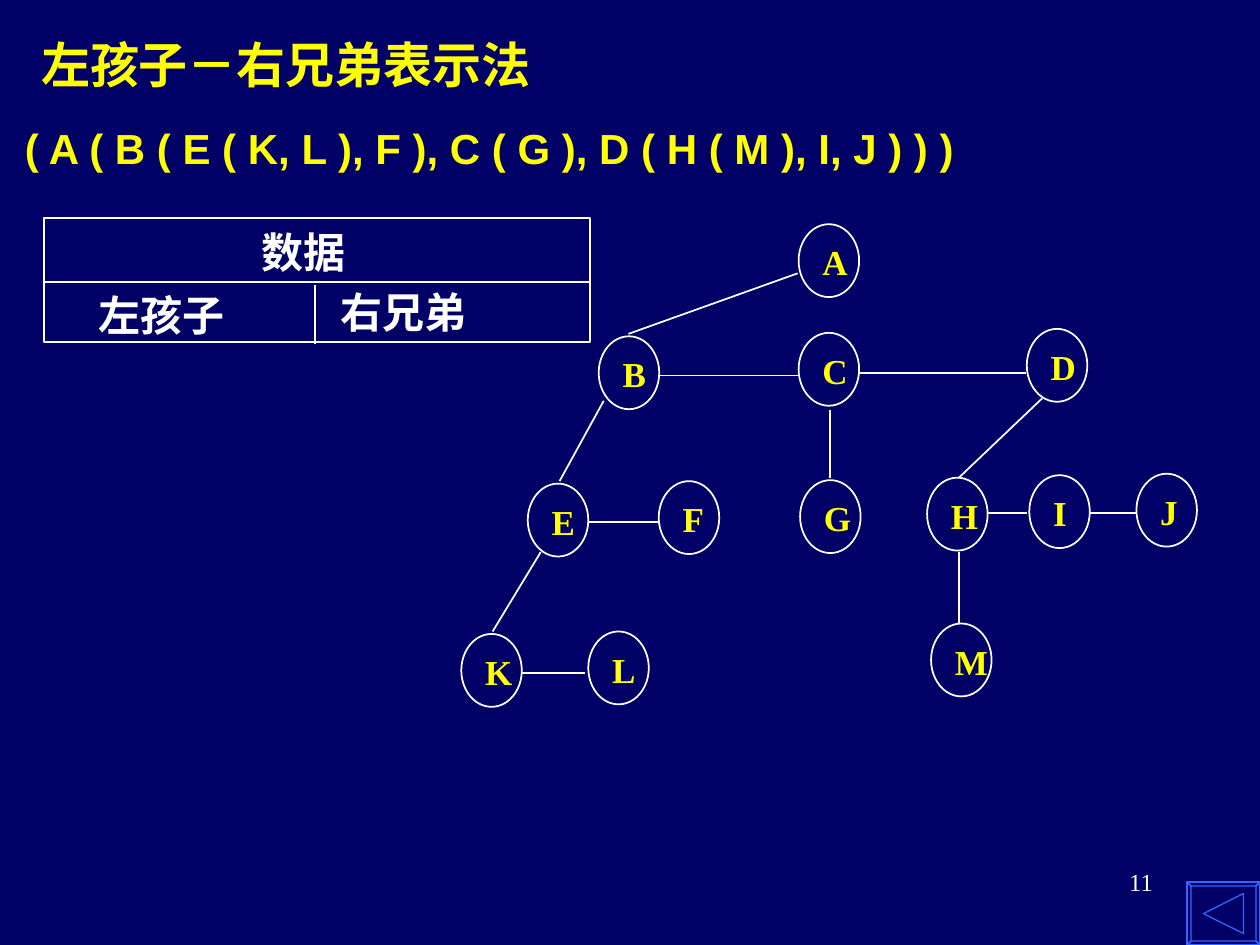
from lxml.etree import SubElement
from pptx import Presentation
from pptx.dml.color import RGBColor
from pptx.enum.shapes import MSO_CONNECTOR, MSO_SHAPE
from pptx.enum.text import MSO_ANCHOR as Anchor, PP_ALIGN as Align
from pptx.oxml.ns import qn
from pptx.util import Cm, Pt

NAVY = RGBColor(0x00, 0x00, 0x66)
YELLOW = RGBColor(0xFF, 0xFF, 0x00)
WHITE = RGBColor(0xFF, 0xFF, 0xFF)
BLUE = RGBColor(0x33, 0x66, 0xFF)

NODE_WIDTH, NODE_HEIGHT = 1.22, 1.47

# name: left, top, label width
NODES = {
    "A": (16.10, 4.52, 1.02),
    "B": (12.07, 6.78, 0.99),
    "C": (16.10, 6.71, 1.02),
    "D": (20.70, 6.63, 1.02),
    "E": (10.64, 9.75, 0.99),
    "F": (13.28, 9.70, 0.94),
    "G": (16.13, 9.68, 1.07),
    "H": (18.69, 9.63, 1.07),
    "I": (20.75, 9.58, 0.79),
    "J": (22.91, 9.55, 0.86),
    "K": (9.30, 12.78, 1.07),
    "L": (11.86, 12.73, 0.99),
    "M": (18.77, 12.57, 1.17),
}
CHILD_LINKS = [
    (16.08, 5.51, 12.67, 6.73),    # A-B
    (12.17, 8.08, 11.28, 9.70),    # B-E
    (10.90, 11.13, 9.93, 12.73),   # E-K
    (16.74, 8.26, 16.74, 9.63),    # C-G
    (21.01, 8.03, 19.33, 9.63),    # D-H
    (19.33, 11.13, 19.33, 12.55),  # H-M
]
SIBLING_LINKS = [
    (13.26, 7.57, 16.10, 7.57),    # B-C
    (17.32, 7.52, 20.68, 7.52),    # C-D
    (11.86, 10.52, 13.26, 10.52),  # E-F
    (10.52, 13.56, 11.79, 13.56),  # K-L
    (19.91, 10.34, 20.70, 10.34),  # H-I
    (21.95, 10.34, 22.91, 10.34),  # I-J
]


def add_text(shapes, text, place, size, color, font="Times New Roman",
             bold=True, align=Align.LEFT, wrap=False):
    box = shapes.add_textbox(*map(Cm, place))
    frame = box.text_frame
    frame.word_wrap = wrap
    para = frame.paragraphs[0]
    para.alignment = align
    span = para.add_run()
    span.text = text
    span.font.name = font
    span.font.size = Pt(size)
    span.font.bold = bold
    span.font.color.rgb = color
    return box


def add_line(shapes, ends):
    line = shapes.add_connector(MSO_CONNECTOR.STRAIGHT, *map(Cm, ends))
    line.line.color.rgb = WHITE
    line.line.width = Pt(1)
    SubElement(line._element.spPr, qn("a:effectLst"))


deck = Presentation()
deck.slide_width, deck.slide_height = Cm(25.4), Cm(19.05)
page = deck.slides.add_slide(deck.slide_layouts[6])
page.background.fill.solid()
page.background.fill.fore_color.rgb = NAVY

add_text(page.shapes, "11", (18.21, 17.35, 5.28, 1.27), 14, WHITE,
         bold=False, align=Align.RIGHT, wrap=True)
title = add_text(page.shapes, "左孩子－右兄弟表示法", (0.58, 0.43, 11.05, 1.7),
                 28, YELLOW, wrap=True)
title.text_frame.vertical_anchor = Anchor.MIDDLE

# Tree
tree = page.shapes.add_group_shape().shapes
for name, (left, top, label_width) in NODES.items():
    node = tree.add_shape(MSO_SHAPE.OVAL, Cm(left), Cm(top),
                          Cm(NODE_WIDTH), Cm(NODE_HEIGHT))
    node.shadow.inherit = False
    node.fill.background()
    node.line.color.rgb = WHITE
    node.line.width = Pt(1)
    add_text(tree, name, (left + 0.23, top + 0.21, label_width, 1.09), 20, YELLOW)
for ends in CHILD_LINKS + SIBLING_LINKS:
    add_line(tree, ends)

# Layout of one node record
record = page.shapes.add_group_shape().shapes
border = record.add_shape(MSO_SHAPE.RECTANGLE, Cm(0.89), Cm(4.39), Cm(11), Cm(2.51))
border.shadow.inherit = False
border.fill.background()
border.line.color.rgb = WHITE
border.line.width = Pt(1)
add_line(record, (0.86, 5.69, 11.91, 5.69))
add_line(record, (6.35, 5.74, 6.35, 6.93))
add_text(record, "数据", (5.03, 4.45, 2.21, 1.27), 24, WHITE)
add_text(record, "左孩子", (1.73, 5.72, 3.05, 1.27), 24, WHITE, align=Align.CENTER)
add_text(record, "右兄弟", (6.62, 5.66, 3.05, 1.27), 24, WHITE)

add_text(page.shapes, "( A ( B ( E ( K, L ), F ), C ( G ), D ( H ( M ), I, J ) ) )",
         (0.25, 2.34, 20.27, 1.27), 24, YELLOW, font="Arial", wrap=True)

# Back button: bevelled frame and arrow
left, top, right, bottom, bevel = 23.93, 17.78, 25.4, 19.05, 0.08
outer = [(left, top), (right, top), (right, bottom), (left, bottom)]
inner = [(left + bevel, top + bevel), (right - bevel, top + bevel),
         (right - bevel, bottom - bevel), (left + bevel, bottom - bevel)]
contours = [outer]
for i in range(4):
    j = (i + 1) % 4
    contours.append([outer[i], outer[j], inner[j], inner[i]])
contours.append([(25.07, 18.01), (24.26, 18.42), (25.07, 18.82)])

builder = page.shapes.build_freeform(Cm(left), Cm(top))
for contour in contours:
    points = [(Cm(x), Cm(y)) for x, y in contour]
    builder.move_to(*points[0])
    builder.add_line_segments(points[1:], close=True)
button = builder.convert_to_shape()
button.shadow.inherit = False
button.fill.background()
button.line.color.rgb = BLUE
button.line.width = Pt(0.75)

deck.save("out.pptx")
